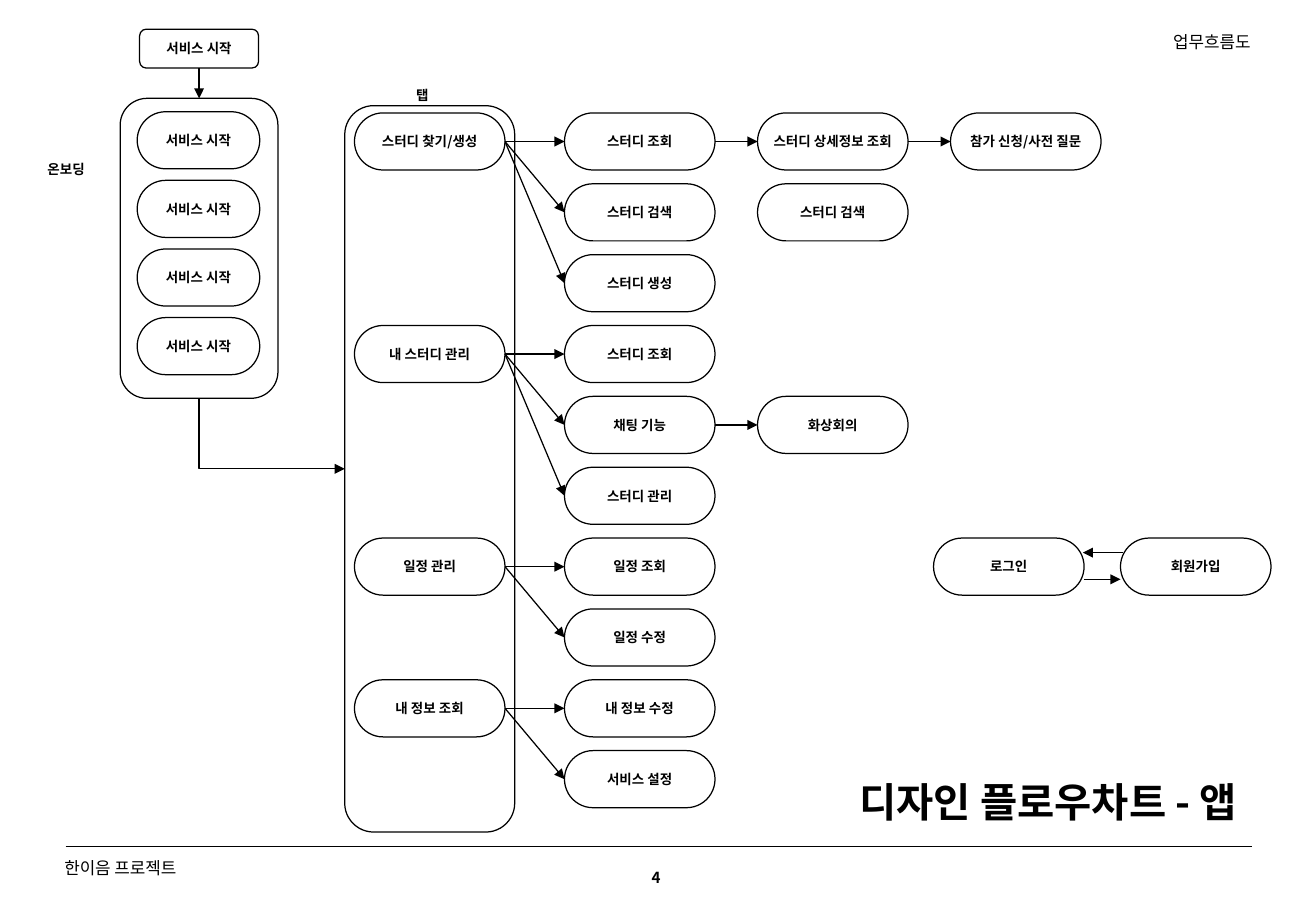
from dataclasses import dataclass
from typing import Any

from lxml.etree import SubElement
from pptx import Presentation
from pptx.dml.color import RGBColor as Rgb
from pptx.enum.shapes import MSO_CONNECTOR as Link, MSO_SHAPE as Kind
from pptx.enum.text import MSO_ANCHOR as Anchor, MSO_AUTO_SIZE as Fit, PP_ALIGN as Align
from pptx.oxml.ns import qn
from pptx.util import Emu, Inches, Pt

# Grid: square cells, 108.4 columns by 75 rows
CELL = Inches(0.1)
WIDE, HIGH = 108.4, 75
INK = {"line": "000000", "text": "000000"}
FACE = "Noto Sans CJK KR"
THIN = Pt(0.75)

# Flow chart: columns of pills and evenly spaced rows
COLS = {"tab": 29.2, "step": 46.5, "more": 62.4, "last": 78.3, "login": 76.9, "join": 92.3}
TOP, PITCH = 9.3, 52.5 / 9
PILL_W, PILL_H = 12.4, 4.7


@dataclass
class Box:
    x: float
    y: float
    w: float
    h: float
    text: str = ""
    turn: float = 0.5  # corner radius as a share of the short side

    @property
    def mid(self) -> float:
        return self.y + self.h / 2


@dataclass
class Label:
    text: str
    x: float
    y: float
    w: float
    h: float
    size: float = 8
    bold: bool = True
    align: Align = Align.CENTER
    pad: bool = True


def cells(*nums: float) -> list[Emu]:
    return [Emu(round(n * CELL)) for n in nums]


def put(item: Any, form: dict[str, Any]) -> None:
    for key, val in form.items():
        setattr(item, key, val)


def write(frame: Any, text: str, size: float, bold: bool, align: Align) -> None:
    para = frame.paragraphs[0]
    para.alignment = align
    run = para.add_run()
    run.text = text
    put(run.font, {"size": Pt(size), "bold": bold, "name": FACE})
    run.font.color.rgb = Rgb.from_string(INK["text"])
    SubElement(run.font._element, qn("a:ea"), typeface=FACE)


def stroke(line: Any) -> None:
    line.width = THIN
    line.color.rgb = Rgb.from_string(INK["line"])


def draw_box(slide: Any, box: Box) -> None:
    shape = slide.shapes.add_shape(Kind.ROUNDED_RECTANGLE, *cells(box.x, box.y, box.w, box.h))
    shape.adjustments[0] = box.turn
    shape.shadow.inherit = False
    shape.fill.background()
    stroke(shape.line)
    if box.text:
        put(shape.text_frame, {"word_wrap": False, "vertical_anchor": Anchor.MIDDLE})
        write(shape.text_frame, box.text, 8, True, Align.CENTER)


def draw_label(slide: Any, label: Label) -> None:
    area = slide.shapes.add_textbox(*cells(label.x, label.y, label.w, label.h))
    frame = area.text_frame
    put(frame, {"word_wrap": True, "auto_size": Fit.SHAPE_TO_FIT_TEXT})
    if not label.pad:
        put(frame, {f"margin_{side}": 0 for side in ("left", "top", "right", "bottom")})
    write(frame, label.text, label.size, label.bold, label.align)


def draw_line(slide: Any, x1: float, y1: float, x2: float, y2: float,
              head: bool = True, kind: Link = Link.STRAIGHT) -> Any:
    line = slide.shapes.add_connector(kind, *cells(x1, y1, x2, y2))
    stroke(line.line)
    if head:
        SubElement(line.line._get_or_add_ln(), qn("a:tailEnd"), type="triangle")
    SubElement(line._element.spPr, qn("a:effectLst"))
    return line


def draw_bend(slide: Any, x1: float, y1: float, x2: float, y2: float) -> None:
    """Arrow that goes down, then right: a quarter turn of a one-bend connector."""
    cx, cy = (x1 + x2) / 2, (y1 + y2) / 2
    dx, dy = (y2 - y1) / 2, (x2 - x1) / 2
    line = draw_line(slide, cx + dx, cy - dy, cx - dx, cy + dy, kind=Link.ELBOW)
    props = line._element.spPr
    props.find(qn("a:xfrm")).set("rot", "16200000")
    props.find(qn("a:prstGeom")).set("prst", "bentConnector2")


def pill(col: str, row: int, text: str) -> Box:
    return Box(COLS[col], TOP + row * PITCH, PILL_W, PILL_H, text)


STEPS = ["스터디 조회", "스터디 검색", "스터디 생성", "스터디 조회", "채팅 기능",
         "스터디 관리", "일정 조회", "일정 수정", "내 정보 수정", "서비스 설정"]
PILLS = {(col, row): pill(col, row, text) for col, row, text in [
    ("tab", 0, "스터디 찾기/생성"),
    ("tab", 3, "내 스터디 관리"),
    ("tab", 6, "일정 관리"),
    ("tab", 8, "내 정보 조회"),
    *(("step", row, text) for row, text in enumerate(STEPS)),
    ("more", 0, "스터디 상세정보 조회"),
    ("more", 1, "스터디 검색"),
    ("more", 4, "화상회의"),
    ("last", 0, "참가 신청/사전 질문"),
    ("login", 6, "로그인"),
    ("join", 6, "회원가입"),
]}
FANS = {0: (0, 1, 2), 3: (3, 4, 5), 6: (6, 7), 8: (8, 9)}
LINKS = [(("tab", tab), ("step", row)) for tab, rows in FANS.items() for row in rows] + [
    (("step", 0), ("more", 0)),
    (("more", 0), ("last", 0)),
    (("step", 4), ("more", 4)),
]

# Panels and the onboarding column
START = Box(11.5, 2.4, 9.8, 3.2, "서비스 시작", 0.17)
INTRO = Box(9.9, 8.1, 13, 24.7, turn=0.17)
TABS = Box(28.4, 8.7, 14, 59.8, turn=0.17)
INTROS = [Box(11.3, 9.2 + n * 5.65, 10.1, PILL_H, "서비스 시작") for n in range(4)]

LABELS = [
    Label("업무흐름도", 71.1, 2.6, 31.9, 1.7, 10, False, Align.RIGHT, False),
    Label("온보딩", 2.2, 12.8, 6.5, 2.4),
    Label("탭", 33.3, 6.7, 3.9, 2.4, align=Align.LEFT),
    Label("디자인 플로우차트 - 앱", 69.8, 63.5, 38, 5, 24, align=Align.LEFT),
    Label("한이음 프로젝트", 5.3, 70.6, 35.5, 1.7, 10, False, Align.LEFT, False),
    Label("4", 51.3, 71, 5.5, 2.5, 9),
]


def main() -> None:
    deck = Presentation()
    deck.slide_width, deck.slide_height = cells(WIDE, HIGH)
    slide = deck.slides.add_slide(deck.slide_layouts[6])

    # Footer rule
    draw_line(slide, 5.4, 69.7, 103.1, 69.7, head=False)

    # Boxes
    for box in [START, INTRO, TABS, *INTROS, *PILLS.values()]:
        draw_box(slide, box)

    # Arrows
    spine = START.x + START.w / 2
    draw_line(slide, spine, START.y + START.h, spine, INTRO.y)
    draw_bend(slide, spine, INTRO.y + INTRO.h, TABS.x, TABS.mid)
    for src, dst in LINKS:
        one, two = PILLS[src], PILLS[dst]
        draw_line(slide, one.x + one.w, one.mid, two.x, two.mid)
    draw_line(slide, 89.3, 47.7, 92.3, 47.7)
    draw_line(slide, 92.5, 45.5, 89.2, 45.5)

    # Titles and notes
    for label in LABELS:
        draw_label(slide, label)

    deck.save("out.pptx")


if __name__ == "__main__":
    main()
